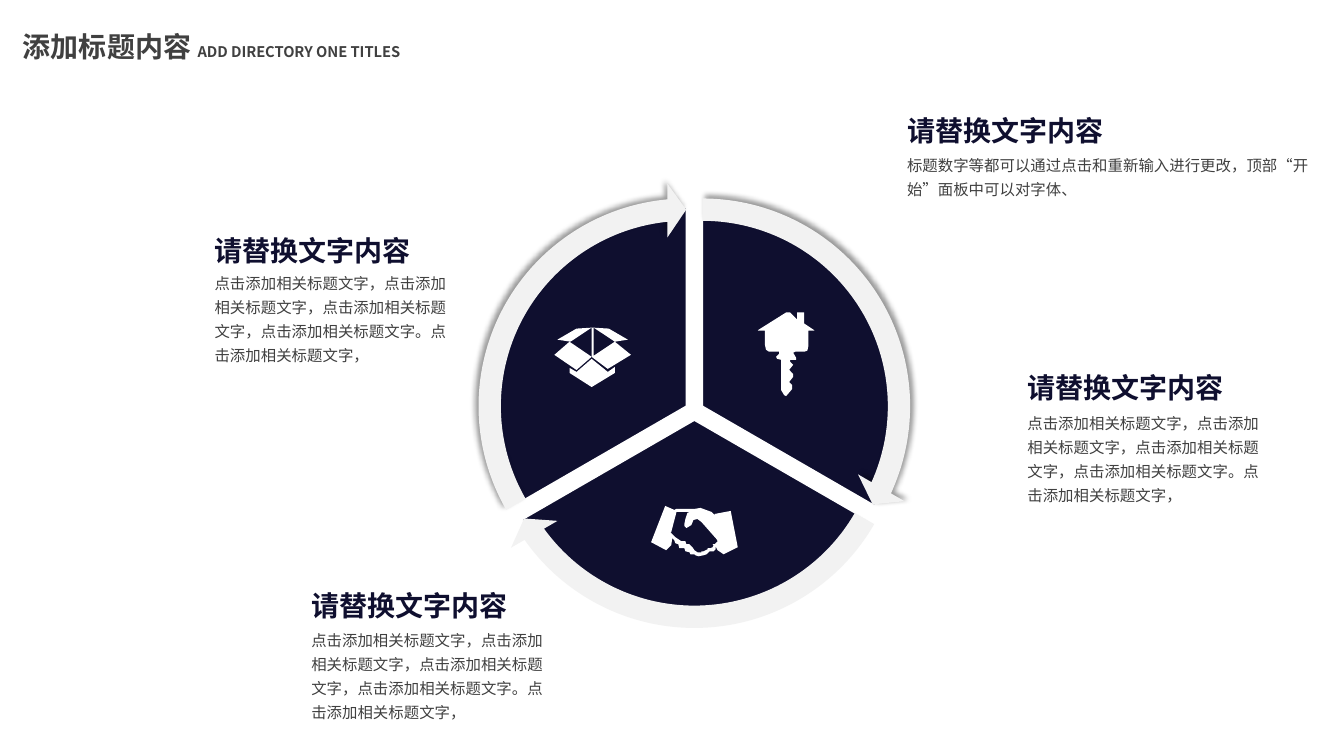
import math

from lxml import etree
from pptx import Presentation
from pptx import util as u
from pptx.dml.color import RGBColor
from pptx.enum import shapes, text
from pptx.oxml.ns import qn

NAVY = RGBColor(0x0F, 0x0F, 0x2F)
GREY = RGBColor(0x40, 0x40, 0x40)
PALE = RGBColor(0xF2, 0xF2, 0xF2)
WHITE = RGBColor(0xFF, 0xFF, 0xFF)

# Wheel: three sectors pushed outwards from a shared centre
WHEEL_X, WHEEL_Y, GAP = 496, 293.5, 6.7
SECTOR_SIZE, ARROW_SIZE = 283.7, 319
SPAN, HEAD_ANGLE = 120, 5.46
DEGREE = 0.6  # one degree as an adjustment value
SECTORS = [(270, 315), (30, None), (150, 225)]  # start angle, shadow direction

# Icon outlines, in units of 0.72 pt from the top left of each icon
ICON_UNIT = 0.72
HANDS = [
    [(79, 5), (63, 8), (64, 10), (60, 6), (49, 2), (43, 3), (25, 3), (23, 4),
     (14, 0), (0, 36), (15, 44), (20, 39), (21, 32), (23, 34), (24, 37), (27, 38),
     (28, 42), (33, 42), (34, 45), (38, 46), (39, 48), (43, 48), (44, 49), (47, 50),
     (52, 49), (55, 48), (58, 45), (62, 45), (64, 43), (64, 40), (66, 44), (72, 48),
     (86, 41)],
    [(63, 38), (61, 38), (62, 39), (61, 41), (59, 42), (56, 42), (56, 43), (52, 45),
     (50, 45), (50, 46), (46, 46), (43, 44), (41, 41), (38, 38), (35, 38), (34, 35),
     (30, 35), (24, 31), (20, 27), (19, 27), (20, 26), (25, 7), (25, 6), (38, 6),
     (36, 7), (34, 13), (33, 18), (33, 20), (35, 22), (40, 19), (42, 14), (46, 13),
     (50, 16), (65, 33), (66, 35)],
]
BOX_LID = [(37, 29), (53, 41), (76, 27), (60, 14), (39, 28), (39, 0), (60, 14), (73, 12),
           (54, 1), (38, 0), (22, 1), (3, 12), (16, 14), (37, 0)]
BOX_FLAP = [(0, 27), (22, 42), (37, 29), (15, 14)]
BOX_BODY = [(37, 31), (22, 44), (15, 40), (15, 45), (37, 59), (60, 45), (60, 39), (53, 44)]
HOUSE_KEY = [
    (7, 32), (7, 18), (0, 18), (1, 17), (28, 0), (32, 0), (39, 7), (39, 0), (46, 0),
    (46, 11), (55, 17), (56, 18), (50, 18), (50, 34), (49, 38), (46, 39), (37, 39),
    (35, 40), (38, 45), (38, 47), (32, 47), (32, 49), (35, 52), (31, 57), (35, 61),
    (35, 64), (31, 69), (34, 72), (34, 76), (28, 83), (26, 82), (23, 77), (23, 47),
    (19, 46), (18, 44), (21, 41), (21, 39), (11, 39), (8, 37),
]
ICONS = [
    (465.1, 361.4, HANDS),
    (396, 234, [BOX_LID]),
    (396, 234, [BOX_FLAP]),
    (396, 234, [BOX_BODY]),
    (541.4, 223.2, [HOUSE_KEY]),
]

# Captions: left, heading top, body top, body width, body height, body text
HEADING = "请替换文字内容"
BODY = ("点击添加相关标题文字，点击添加相关标题文字，点击添加相关标题文字，"
        "点击添加相关标题文字。点击添加相关标题文字，")
TOP_BODY = "标题数字等都可以通过点击和重新输入进行更改，顶部“开始”面板中可以对字体、"
CAPTIONS = [
    (146.2, 158.4, 188.6, 188, 76.3, BODY),
    (726.8, 256.3, 288, 188, 76.3, BODY),
    (215.3, 411.8, 443.5, 188, 76.3, BODY),
    (640.8, 72.7, 103.7, 311, 41.8, TOP_BODY),
]


class SlideBuilder:
    font_name = "Noto Sans CJK SC"

    def __init__(self, slide):
        self.slide = slide

    def text_box(self, left, top, width, height, runs, color, bold=False,
                 spacing=None, align=None, wrap=True):
        """Add one paragraph made of (words, size) runs."""
        box = self.slide.shapes.add_textbox(u.Pt(left), u.Pt(top), u.Pt(width), u.Pt(height))
        frame = box.text_frame
        frame.word_wrap = wrap
        frame.auto_size = text.MSO_AUTO_SIZE.SHAPE_TO_FIT_TEXT
        paragraph = frame.paragraphs[0]
        paragraph.line_spacing = spacing
        paragraph.alignment = align
        for words, size in runs:
            run = paragraph.add_run()
            run.text = words
            run.font.size = u.Pt(size)
            run.font.bold = bold
            run.font.color.rgb = color
            run.font.name = self.font_name
            east_asian = etree.SubElement(run.font._element, qn("a:ea"))
            east_asian.set("typeface", self.font_name)

    def paint(self, shape, fill, line=None):
        shape.shadow.inherit = False
        shape.fill.solid()
        shape.fill.fore_color.rgb = fill
        if line is None:
            shape.line.fill.background()
        else:
            shape.line.color.rgb = line
            shape.line.width = u.Pt(1)

    def centred_shape(self, kind, x, y, size, adjustments, fill, line=None):
        shape = self.slide.shapes.add_shape(
            kind, u.Pt(x - size / 2), u.Pt(y - size / 2), u.Pt(size), u.Pt(size))
        for index, value in enumerate(adjustments):
            shape.adjustments[index] = value
        self.paint(shape, fill, line)
        return shape

    def cast_shadow(self, shape, direction):
        effects = shape._element.spPr.find(qn("a:effectLst"))
        shadow = etree.SubElement(
            effects, qn("a:outerShdw"), blurRad=str(u.Pt(4)), dist=str(u.Pt(3)),
            dir=str(direction * 60000), algn="ctr", rotWithShape="0")
        color = etree.SubElement(shadow, qn("a:srgbClr"), val="000000")
        etree.SubElement(color, qn("a:alpha"), val="40000")

    def icon(self, left, top, outlines):
        first, *others = outlines
        builder = self.slide.shapes.build_freeform(*first[0], scale=u.Pt(ICON_UNIT))
        builder.add_line_segments(first[1:], close=True)
        for outline in others:
            builder.move_to(*outline[0])
            builder.add_line_segments(outline[1:], close=True)
        self.paint(builder.convert_to_shape(u.Pt(left), u.Pt(top)), WHITE)


def main():
    presentation = Presentation()
    presentation.slide_width, presentation.slide_height = u.Pt(960), u.Pt(540)
    builder = SlideBuilder(presentation.slides.add_slide(presentation.slide_layouts[6]))

    # Title
    builder.text_box(0, 17.3, 302.4, 31.7,
                     [("添加标题内容 ", 20), ("ADD DIRECTORY ONE TITLES", 10.5)],
                     GREY, bold=True, align=text.PP_ALIGN.CENTER)

    # Wheel sectors, then the arrows around them
    centres = []
    for start, _ in SECTORS:
        middle = math.radians(start + SPAN / 2)
        centre = WHEEL_X + GAP * math.cos(middle), WHEEL_Y + GAP * math.sin(middle)
        centres.append(centre)
        end = (start + SPAN) % 360
        builder.centred_shape(shapes.MSO_SHAPE.PIE, *centre, SECTOR_SIZE,
                              [start * DEGREE, end * DEGREE], NAVY, WHITE)
    for centre, (start, direction) in zip(centres, SECTORS):
        end = (start + SPAN - HEAD_ANGLE) % 360
        arrow = builder.centred_shape(
            shapes.MSO_SHAPE.CIRCULAR_ARROW, *centre, ARROW_SIZE,
            [0.05, HEAD_ANGLE * DEGREE, end * DEGREE, start * DEGREE, 0.06], PALE)
        if direction is not None:
            builder.cast_shadow(arrow, direction)

    # Icons
    for left, top, outlines in ICONS:
        builder.icon(left, top, outlines)

    # Captions
    for left, heading_top, body_top, width, height, body in CAPTIONS:
        builder.text_box(left, heading_top, 162, 33.8, [(HEADING, 20)], NAVY,
                         bold=True, spacing=1.2, wrap=False)
        builder.text_box(left, body_top, width, height, [(body, 11)], GREY, spacing=1.3)

    presentation.save("out.pptx")


if __name__ == "__main__":
    main()
